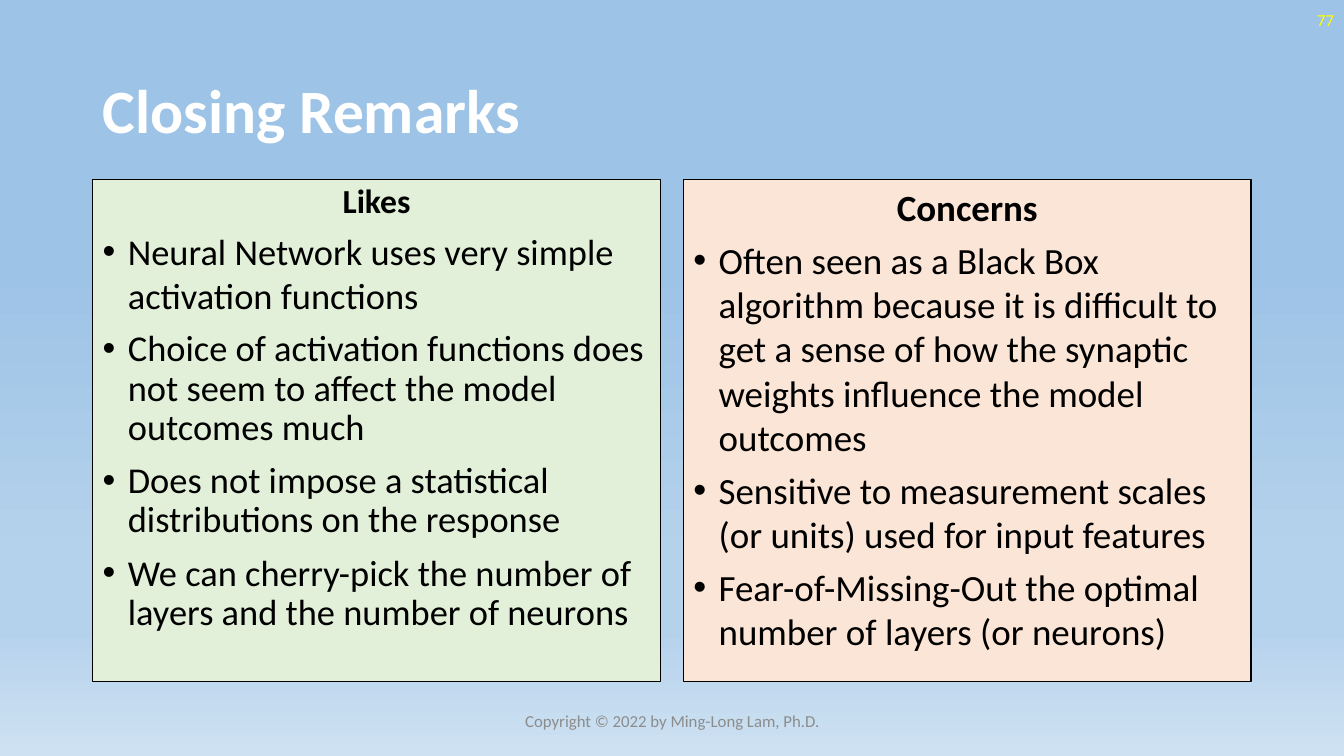
"""Closing remarks slide: likes and concerns side by side."""
from lxml import etree
from pptx import Presentation
from pptx.dml.color import RGBColor
from pptx.enum import shapes, text
from pptx.oxml import ns
from pptx.util import Inches, Pt

COLORS = {"white": "FFFFFF", "black": "000000", "yellow": "FFFF00", "gray": "8C8C8C",
          "likes": "E2F0D9", "concerns": "FBE5D6"}
SKY = [(35, "9DC3E6"), (74, "B5D2EC"), (83, "B5D2EC"), (100, "CEE1F2")]
ALIGN = text.PP_ALIGN


def add_words(paragraph, words, size, color, bold=False):
    run = paragraph.add_run()
    run.text = words
    run.font.name = "Calibri"
    run.font.size = Pt(size)
    run.font.bold = bold
    run.font.color.rgb = RGBColor.from_string(COLORS[color])


prs = Presentation()
prs.slide_width, prs.slide_height = Inches(13.33), Inches(7.5)
slide = prs.slides.add_slide(prs.slide_layouts[6])

sky = slide.background.fill
sky.gradient()
sky.gradient_angle = 270
stops = slide.background._cSld.find(".//" + ns.qn("a:gsLst"))
for stop in list(stops):
    stops.remove(stop)
for percent, color in SKY:
    stop = etree.SubElement(stops, ns.qn("a:gs"), pos=str(percent * 1000))
    etree.SubElement(stop, ns.qn("a:srgbClr"), val=color)

LABELS = [
    ("Closing Remarks", (0.92, 0.4, 11.5, 1.45), 44, "white", True, ALIGN.LEFT, 0.9),
    ("77", (10.33, 0, 3, 0.4), 12, "yellow", False, ALIGN.RIGHT, 1.0),
    ("Copyright © 2022 by Ming-Long Lam, Ph.D.", (4.42, 6.95, 4.5, 0.4), 12, "gray", False,
     ALIGN.CENTER, 1.0),
]
for words, place, size, color, bold, align, spacing in LABELS:
    label = slide.shapes.add_textbox(*map(Inches, place)).text_frame
    label.word_wrap = True
    label.vertical_anchor = text.MSO_ANCHOR.MIDDLE
    line = label.paragraphs[0]
    line.alignment = align
    line.line_spacing = spacing
    add_words(line, words, size, color, bold)

PANELS = [
    ("Likes", 0.92, "likes", 24, 0.9, 26, [
        ("Neural Network uses very simple activation functions", 1.0, 6),
        ("Choice of activation functions does not seem to affect the model outcomes much", 0.9, 10),
        ("Does not impose a statistical distributions on the response", 0.9, 10),
        ("We can cherry-pick the number of layers and the number of neurons", 0.9, 10),
    ]),
    ("Concerns", 6.78, "concerns", 26.4, 1.0, 26.4, [
        ("Often seen as a Black Box algorithm because it is difficult to get a sense of how "
         "the synaptic weights influence the model outcomes", 1.0, 6),
        ("Sensitive to measurement scales (or units) used for input features", 1.0, 6),
        ("Fear-of-Missing-Out the optimal number of layers (or neurons)", 1.0, 6),
    ]),
]
for heading, left, fill, heading_size, heading_spacing, size, remarks in PANELS:
    panel = slide.shapes.add_shape(shapes.MSO_SHAPE.RECTANGLE, Inches(left), Inches(1.78),
                                   Inches(5.63), Inches(4.98))
    panel.shadow.inherit = False
    panel.fill.solid()
    panel.fill.fore_color.rgb = RGBColor.from_string(COLORS[fill])
    panel.line.color.rgb = RGBColor.from_string(COLORS["black"])
    panel.line.width = Pt(1)
    frame = panel.text_frame
    frame.word_wrap = True
    frame.vertical_anchor = text.MSO_ANCHOR.TOP
    title = frame.paragraphs[0]
    title.alignment = ALIGN.CENTER
    title.line_spacing = heading_spacing
    add_words(title, heading, heading_size, "black", True)
    for words, spacing, before in remarks:
        remark = frame.add_paragraph()
        remark.alignment = ALIGN.LEFT
        remark.line_spacing = spacing
        remark.space_before = Pt(before)
        layout = remark._p.get_or_add_pPr()
        layout.set("marL", str(Inches(0.25)))
        layout.set("indent", str(Inches(-0.25)))
        etree.SubElement(layout, ns.qn("a:buFont"), typeface="Arial")
        etree.SubElement(layout, ns.qn("a:buChar"), char="•")
        add_words(remark, words, size, "black")

prs.save("out.pptx")
